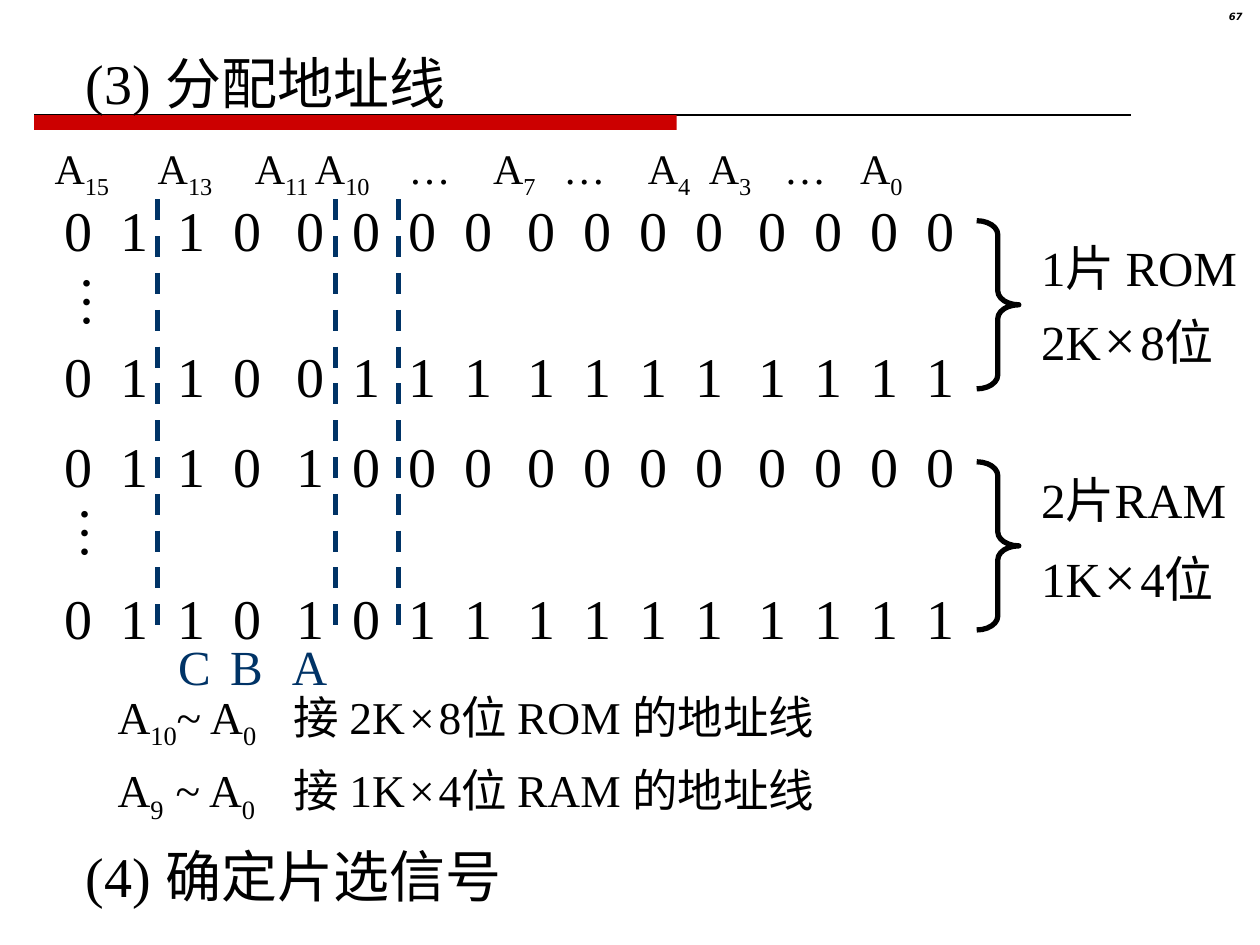
"""Build a slide that assigns address lines to ROM and RAM chips."""
import pptx
import pptx.util
import pptx.dml.color
import pptx.enum.dml
import pptx.enum.shapes
import pptx.enum.text
import pptx.oxml.ns
import lxml.etree

Cm, Pt = pptx.util.Cm, pptx.util.Pt
ALIGN = pptx.enum.text.PP_ALIGN
SHAPE = pptx.enum.shapes.MSO_SHAPE
LINE = pptx.enum.shapes.MSO_CONNECTOR.STRAIGHT
HUES = {"ink": "000000", "red": "CC0000", "navy": "003366"}
SERIF = "Times New Roman"

HEADS = [("(3) 分配地址线", 0.85), ("(4) 确定片选信号", 16.83)]
ROWS = [
    (3.81, "0110 0000 0000 0000"),
    (6.77, "0110 0111 1111 1111"),
    (8.57, "0110 1000 0000 0000"),
    (11.64, "0110 1011 1111 1111"),
]
DOTS = [(1.11, 5.29), (1.06, 9.95)]
LINES = ["A", "15", "\tA", "13", "\tA", "11", "\tA", "10", "\t…\tA", "7",
         "\t…\tA", "4", "\tA", "3", "\t…\tA", "0"]
STOPS = [2.08, 4.04, 5.25, 7.14, 8.84, 10.26, 11.96, 13.19, 14.71, 16.24]
CUTS = [3.18, 6.77, 8.04]
PINS = [("C", 3.18), ("B", 4.23), ("A", 5.5)]
CHIPS = [
    (4.45, "1片 ROM", 4.66, ("2K", "8位"), 6.01),
    (9.31, "2片RAM", 9.35, ("1K", "4位"), 10.8),
]
NOTES = [
    (13.76, ["A", "10", "~ A", "0"], ("\t接 2K", "8位 ROM 的地址线")),
    (15.24, ["A", "9", "\t~ A", "0"], ("\t接 1K", "4位 RAM 的地址线")),
]
STEP, PITCH = 4.66, 1.13


def tint(hue):
    return pptx.dml.color.RGBColor.from_string(HUES[hue])


def style(run, size, hue="ink", face=SERIF):
    run.font.size = Pt(size)
    run.font.name = face
    run.font.color.rgb = tint(hue)


def subs(parts, size):
    return [(part, size, i % 2 == 1) for i, part in enumerate(parts)]


def times(pair, size, sign):
    left, right = pair
    return [(left, size, False), (" ", 9, False), ("×", sign, False),
            (" ", 9, False), (right, size, False)]


def frame(slide, x, y, w, h):
    text = slide.shapes.add_textbox(Cm(x), Cm(y), Cm(w), Cm(h)).text_frame
    text.word_wrap = True
    text.auto_size = pptx.enum.text.MSO_AUTO_SIZE.SHAPE_TO_FIT_TEXT
    return text


def stops(para, marks):
    tag = pptx.oxml.ns.qn
    tabs = lxml.etree.SubElement(para._p.get_or_add_pPr(), tag("a:tabLst"))
    for mark in marks:
        lxml.etree.SubElement(tabs, tag("a:tab"), pos=str(Cm(mark)), algn="l")


def label(slide, text, x, y, w, h, size, hue="ink", align=None, marks=()):
    box = frame(slide, x, y, w, h)
    box.text = text
    para = box.paragraphs[0]
    para.alignment = align
    if marks:
        stops(para, marks)
    style(para.runs[0], size, hue)
    return box


def mixed(slide, runs, x, y, w, h, marks=()):
    para = frame(slide, x, y, w, h).paragraphs[0]
    if marks:
        stops(para, marks)
    for text, size, low in runs:
        run = para.add_run()
        run.text = text
        style(run, size)
        if low:
            run.font._element.set("baseline", "-25000")


def rule(slide, x1, y1, x2, y2, hue, width):
    line = slide.shapes.add_connector(LINE, Cm(x1), Cm(y1), Cm(x2), Cm(y2))
    line.line.color.rgb = tint(hue)
    line.line.width = Pt(width)
    lxml.etree.SubElement(line._element.spPr, pptx.oxml.ns.qn("a:effectLst"))
    return line


def banner(slide):
    rule(slide, 0.69, 2.32, 22.8, 2.32, "ink", 0.75)
    bar = slide.shapes.add_shape(SHAPE.RECTANGLE, Cm(0.69), Cm(2.32), Cm(12.95), Cm(0.3))
    bar.shadow.inherit = False
    bar.fill.solid()
    bar.fill.fore_color.rgb = tint("red")
    bar.line.fill.background()
    page = label(slide, "67", 23.8, 0.13, 1.5, 0.58, 5.7, align=ALIGN.RIGHT)
    para = page.paragraphs[0]
    para.line_spacing = 0.8
    font = para.runs[0].font
    font.name, font.bold, font.italic = "DejaVu Sans", True, True
    for text, y in HEADS:
        label(slide, text, 1.48, y, 22, 1.62, 32)


def table(slide):
    for x in CUTS:
        line = rule(slide, x, 4.02, x, 12.91, "navy", 3)
        line.line.dash_style = pptx.enum.dml.MSO_LINE.DASH
    for text, x in PINS:
        label(slide, text, x, 12.7, 1.48, 1.44, 28, "navy", ALIGN.CENTER)
    mixed(slide, subs(LINES, 24), 0.85, 2.75, 21.8, 1.42, STOPS)
    for y, bits in ROWS:
        for i, group in enumerate(bits.split()):
            marks = [PITCH * n for n in range(1, len(group))]
            label(slide, "\t".join(group), 1.06 + i * STEP, y, 5.08, 1.62, 32, marks=marks)
    for x, y in DOTS:
        box = label(slide, "…", x, y, 1.86, 1.9, 32, align=ALIGN.CENTER)
        box.margin_left = box.margin_right = Cm(0.13)
        box.margin_top = box.margin_bottom = Cm(0.25)
        box._txBody.bodyPr.set("vert", "eaVert")


def chips(slide):
    for top, name, y, pair, low in CHIPS:
        brace = slide.shapes.add_shape(SHAPE.RIGHT_BRACE, Cm(19.69), Cm(top), Cm(0.85), Cm(3.39))
        brace.adjustments[0] = 0.33
        brace.shadow.inherit = False
        brace.fill.background()
        brace.line.color.rgb = tint("ink")
        brace.line.width = Pt(3)
        label(slide, name, 20.74, y, 5.08, 1.44, 28)
        mixed(slide, times(pair, 28, 32), 20.74, low, 5.93, 1.62)
    for y, range_, pair in NOTES:
        runs = subs(range_, 26) + times(pair, 26, 26)
        mixed(slide, runs, 2.12, y, 17.3, 1.52, [1.17, 3.55])


def main():
    deck = pptx.Presentation()
    deck.slide_width, deck.slide_height = Cm(25.4), Cm(19.05)
    slide = deck.slides.add_slide(deck.slide_layouts[6])
    banner(slide)
    table(slide)
    chips(slide)
    deck.save("out.pptx")


if __name__ == "__main__":
    main()
